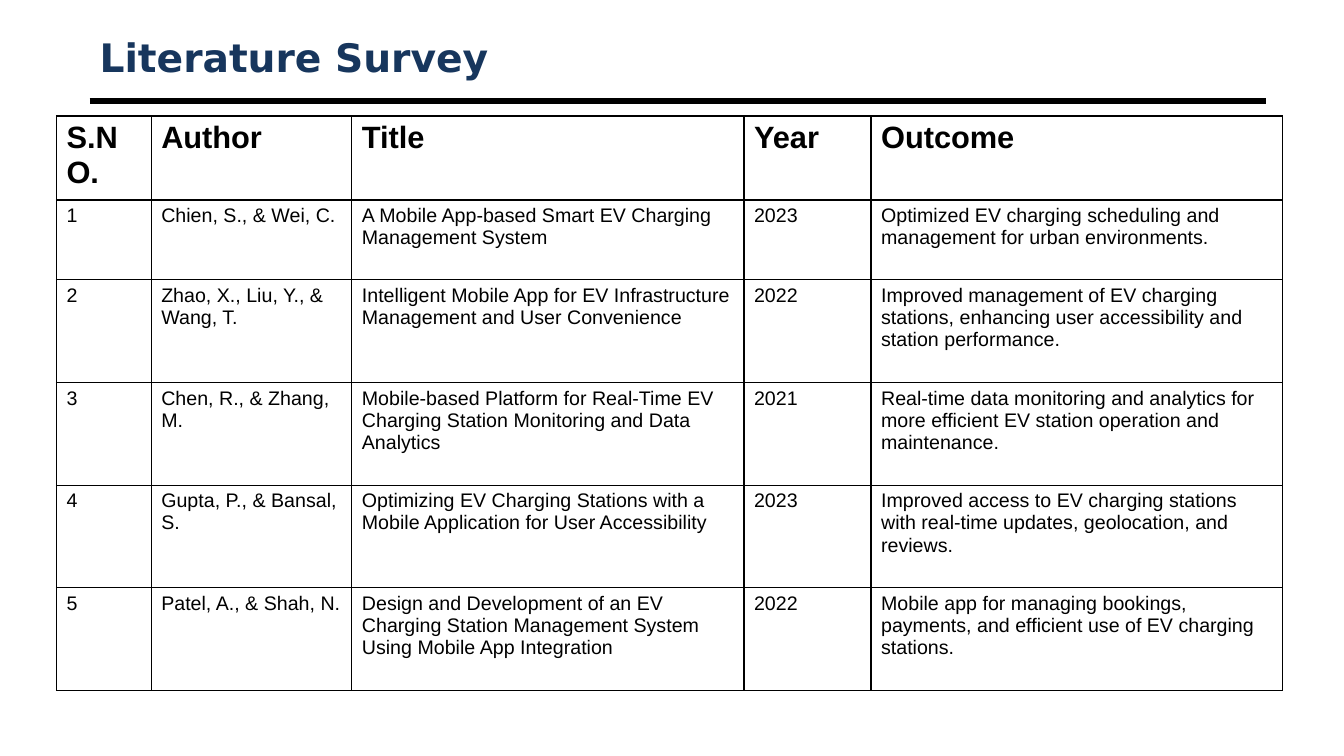
from lxml.etree import SubElement
from pptx import Presentation
from pptx.dml.color import RGBColor
from pptx.enum.shapes import MSO_CONNECTOR
from pptx.enum.text import MSO_ANCHOR
from pptx.oxml.ns import qn
from pptx.util import Inches, Pt

HEADING = "Literature Survey"
COLUMNS = [("S.NO.", 0.94), ("Author", 1.99), ("Title", 3.89), ("Year", 1.26), ("Outcome", 4.08)]
PAPERS = [
    ("Chien, S., & Wei, C.",
     "A Mobile App-based Smart EV Charging Management System", "2023",
     "Optimized EV charging scheduling and management for urban environments."),
    ("Zhao, X., Liu, Y., & Wang, T.",
     "Intelligent Mobile App for EV Infrastructure Management and User Convenience", "2022",
     "Improved management of EV charging stations, enhancing user accessibility "
     "and station performance."),
    ("Chen, R., & Zhang, M.",
     "Mobile-based Platform for Real-Time EV Charging Station Monitoring and Data Analytics", "2021",
     "Real-time data monitoring and analytics for more efficient EV station operation "
     "and maintenance."),
    ("Gupta, P., & Bansal, S.",
     "Optimizing EV Charging Stations with a Mobile Application for User Accessibility", "2023",
     "Improved access to EV charging stations with real-time updates, geolocation, and reviews."),
    ("Patel, A., & Shah, N.",
     "Design and Development of an EV Charging Station Management System "
     "Using Mobile App Integration", "2022",
     "Mobile app for managing bookings, payments, and efficient use of EV charging stations."),
]
ROW_HEIGHTS = [0.82, 0.79] + [1.02] * 4
LEFT, RIGHT = 0.89, 12.56
BLACK, WHITE, NAVY = "000000", "FFFFFF", "17365D"


def color(code):
    return RGBColor.from_string(code)


def write(frame, text, font, size, code, bold):
    span = frame.paragraphs[0].add_run()
    span.text = text
    span.font.name = font
    span.font.size = Pt(size)
    span.font.bold = bold
    span.font.color.rgb = color(code)


def add_borders(cell):
    props = cell._tc.get_or_add_tcPr()
    for side in ("a:lnL", "a:lnR", "a:lnT", "a:lnB"):
        line = SubElement(props, qn(side), w=str(Pt(1)))
        fill = SubElement(line, qn("a:solidFill"))
        SubElement(fill, qn("a:srgbClr"), val=BLACK)


def add_heading(page):
    box = page.shapes.add_textbox(Inches(LEFT), Inches(0.3), Inches(RIGHT - LEFT), Inches(0.53))
    frame = box.text_frame
    frame.word_wrap = True
    frame.vertical_anchor = MSO_ANCHOR.MIDDLE
    write(frame, HEADING, "DejaVu Sans", 28, NAVY, True)

    rule = page.shapes.add_connector(
        MSO_CONNECTOR.STRAIGHT, Inches(LEFT), Inches(1), Inches(RIGHT), Inches(1))
    rule.line.color.rgb = color(BLACK)
    rule.line.width = Pt(4.5)
    SubElement(rule._element.spPr, qn("a:effectLst"))


def add_survey(page):
    names, widths = zip(*COLUMNS)
    rows = [names] + [(str(number), *paper) for number, paper in enumerate(PAPERS, 1)]
    table = page.shapes.add_table(
        len(rows), len(names), Inches(0.56), Inches(1.15),
        Inches(sum(widths)), Inches(sum(ROW_HEIGHTS))).table
    table.first_row = table.horz_banding = False
    for column, width in zip(table.columns, widths):
        column.width = Inches(width)
    for r, (row, height) in enumerate(zip(rows, ROW_HEIGHTS)):
        table.rows[r].height = Inches(height)
        is_header = r == 0
        for c, text in enumerate(row):
            cell = table.cell(r, c)
            add_borders(cell)
            cell.fill.solid()
            cell.fill.fore_color.rgb = color(WHITE)
            write(cell.text_frame, text, "Arial", 22 if is_header else 14, BLACK, is_header)


def main():
    deck = Presentation()
    deck.slide_width, deck.slide_height = Inches(13.33), Inches(7.5)
    page = deck.slides.add_slide(deck.slide_layouts[6])
    add_heading(page)
    add_survey(page)
    deck.save("out.pptx")


if __name__ == "__main__":
    main()
